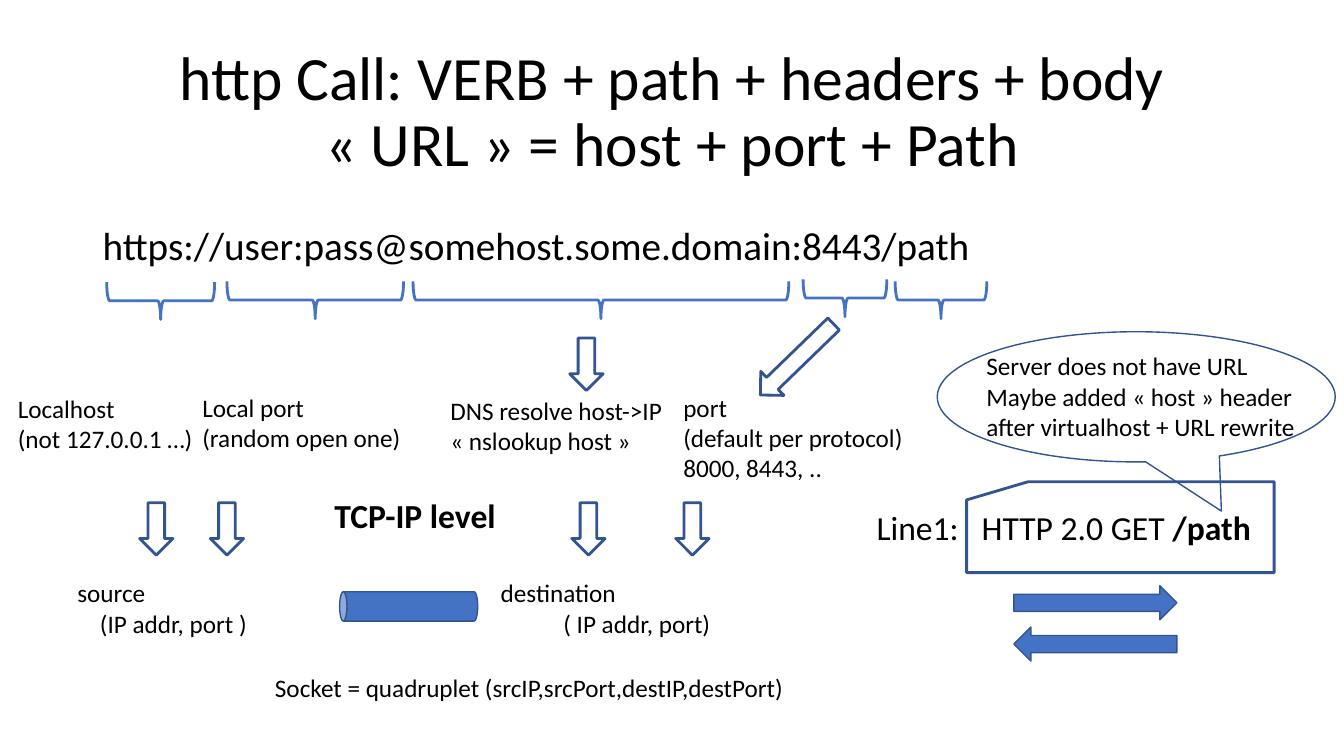
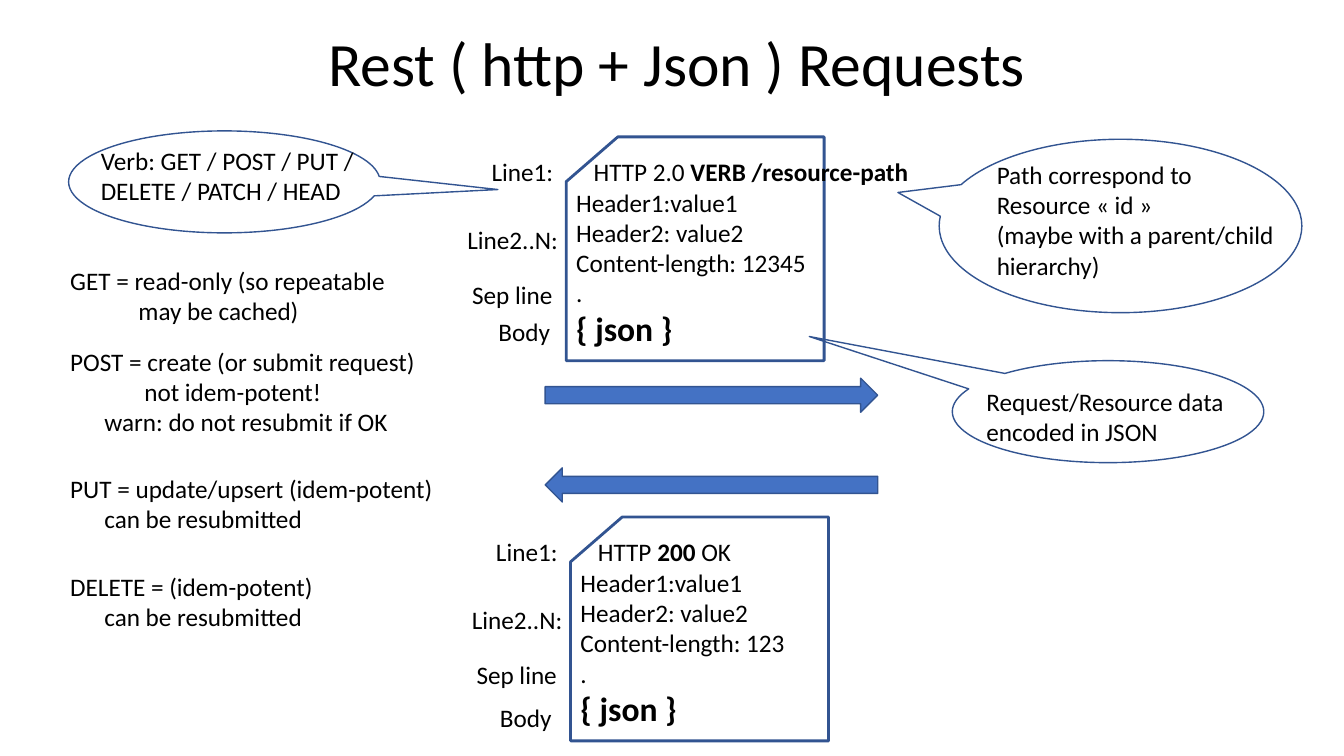
from dataclasses import dataclass

import pptx
import pptx.dml.color
import pptx.enum.shapes
import pptx.enum.text
import pptx.util

Cm, Pt = pptx.util.Cm, pptx.util.Pt
RGBColor = pptx.dml.color.RGBColor
SHAPE = pptx.enum.shapes.MSO_SHAPE
AUTO_SIZE = pptx.enum.text.MSO_AUTO_SIZE

BLACK = RGBColor(0x00, 0x00, 0x00)
BLUE = RGBColor(0x44, 0x72, 0xC4)
DARK_BLUE = RGBColor(0x32, 0x54, 0x91)
FONT = "Calibri"
BODY_SIZE, LARGE_SIZE, URL_SIZE, TITLE_SIZE = 18, 24, 28, 44


@dataclass
class Line:
    """One paragraph: (text, bold) runs, a size in points, an indent in cm."""
    runs: list
    size: int = BODY_SIZE
    indent: float = 0


def plain(text, size=BODY_SIZE, indent=0):
    return Line([(text, False)], size, indent)


def bold(text, size=BODY_SIZE):
    return Line([(text, True)], size)


def write_line(tf, line, first):
    p = tf.paragraphs[0] if first else tf.add_paragraph()
    if line.indent:
        pPr = p._p.get_or_add_pPr()
        pPr.set("marL", str(Cm(line.indent)))
        pPr.set("indent", "0")
    for text, is_bold in line.runs:
        r = p.add_run()
        r.text = text
        r.font.name = FONT
        r.font.size = Pt(line.size)
        r.font.bold = is_bold
        r.font.color.rgb = BLACK
    return p


def add_text(s, x, y, w, *lines, wrap=False):
    """Text box as high as its lines; a plain string is a body-size line."""
    lines = [plain(ln) if isinstance(ln, str) else ln for ln in lines]
    h = 0.25 + 0.043 * sum(ln.size for ln in lines)
    tf = s.shapes.add_textbox(Cm(x), Cm(y), Cm(w), Cm(h)).text_frame
    tf.word_wrap = wrap
    tf.auto_size = AUTO_SIZE.SHAPE_TO_FIT_TEXT
    for i, line in enumerate(lines):
        write_line(tf, line, i == 0)


def add_title(s, x, y, *texts):
    tf = s.shapes.add_textbox(Cm(x), Cm(y), Cm(29.21), Cm(3.68)).text_frame
    tf.word_wrap = True
    tf.vertical_anchor = pptx.enum.text.MSO_ANCHOR.MIDDLE
    for i, text in enumerate(texts):
        p = write_line(tf, plain(text, TITLE_SIZE), i == 0)
        p.alignment = pptx.enum.text.PP_ALIGN.CENTER
        p.line_spacing = 0.9


def add_figure(s, kind, x, y, w, h, fill=None, line=DARK_BLUE, weight=1, rotation=0):
    sp = s.shapes.add_shape(kind, Cm(x), Cm(y), Cm(w), Cm(h))
    sp.shadow.inherit = False
    sp.rotation = rotation
    if fill is None:
        sp.fill.background()
    else:
        sp.fill.solid()
        sp.fill.fore_color.rgb = fill
    sp.line.color.rgb = line
    sp.line.width = Pt(weight)
    return sp


def add_brace(s, x, y, w):
    """Brace under a span of text, its tip pointing down."""
    depth = 0.94
    add_figure(s, SHAPE.LEFT_BRACE, x + (w - depth) / 2, y + (depth - w) / 2,
               depth, w, line=BLUE, weight=2, rotation=270)


def add_down_arrow(s, x, y):
    add_figure(s, SHAPE.DOWN_ARROW, x, y, 0.84, 1.32, weight=2)


def add_exchange(s, x, w, request_y, response_y):
    """Arrow to the right for the request, to the left for the response."""
    for kind, y in ((SHAPE.RIGHT_ARROW, request_y), (SHAPE.LEFT_ARROW, response_y)):
        add_figure(s, kind, x, y, w, 0.86, fill=BLUE)


def add_callout(s, x, y, w, h, tip):
    sp = add_figure(s, SHAPE.OVAL_CALLOUT, x, y, w, h)
    sp.adjustments[0], sp.adjustments[1] = tip


def add_card(s, x, y, w, h):
    add_figure(s, SHAPE.FLOWCHART_CARD, x, y, w, h, weight=2)


def add_message(s, x, y, status, status_w, length, body_dx, body_dy):
    """HTTP message card with the names of its parts on the left."""
    add_card(s, x, y, 6.5, 5.64)
    parts = (("Line1:", -2.13, 0.36, 2.06), ("Line2..N:", -2.74, 2.07, 2.82),
             ("Sep line", -2.62, 3.47, 2.67), ("Body", body_dx, body_dy, 1.91))
    for name, dx, dy, w in parts:
        add_text(s, x + dx, y + dy, w, name)
    add_text(s, x + 0.44, y + 0.36, status_w, status)
    add_text(s, x, y + 1.14, 6.5, "Header1:value1", "Header2: value2",
             f"Content-length: {length}", ".", bold("{ json }", LARGE_SIZE), wrap=True)


def build_call_slide(s):
    add_title(s, 2.34, 1.02, "http Call: VERB + path + headers + body",
              "« URL » = host + port + Path")
    add_text(s, 2.34, 5.46, 22.63,
             plain("https://user:pass@somehost.some.domain:8443/path", URL_SIZE))
    for x, y, w in ((2.69, 7.11, 2.72), (5.72, 7.09, 4.45), (10.41, 7.09, 9.47),
                    (20.24, 7.04, 2.11), (22.56, 7.09, 2.31)):
        add_brace(s, x, y, w)

    add_down_arrow(s, 14.36, 8.52)
    add_figure(s, SHAPE.RIGHT_ARROW, 18.8, 8.64, 2.57, 0.84, weight=2, rotation=135.9)
    add_text(s, 0.2, 9.78, 4.95, "Localhost", "(not 127.0.0.1 …)")
    add_text(s, 4.85, 9.75, 5.59, "Local port", "(random open one)")
    add_text(s, 11.1, 9.83, 5.92, "DNS resolve host->IP", "« nslookup host »")
    add_text(s, 16.97, 9.75, 6.12, "port", "(default per protocol)", "8000, 8443, ..")

    for x in (3.52, 5.3, 14.41, 17.03):
        add_down_arrow(s, x, 12.67)
    add_text(s, 8.18, 12.34, 4.65, bold("TCP-IP level", LARGE_SIZE))
    add_text(s, 1.7, 14.43, 4.85, "source", plain("(IP addr, port )", indent=0.57))
    add_figure(s, SHAPE.CAN, 9.93, 13.54, 0.74, 3.48, fill=BLUE, rotation=270)
    add_text(s, 12.37, 14.43, 6.02, "destination", plain("( IP addr, port)", indent=1.58))
    add_text(s, 6.68, 16.81, 13.92, "Socket = quadruplet (srcIP,srcPort,destIP,destPort)")

    add_card(s, 24.36, 12.14, 7.75, 2.29)
    add_text(s, 21.84, 12.65, 3, plain("Line1:", LARGE_SIZE), wrap=True)
    add_text(s, 24.49, 12.65, 7.59,
             Line([("HTTP 2.0 GET", False), (" /path", True)], LARGE_SIZE))
    add_callout(s, 23.62, 8.36, 10.03, 3.28, (0.214, 0.878))
    add_text(s, 24.61, 8.71, 8.46, "Server does not have URL",
             "Maybe added « host » header", "after virtualhost + URL rewrite")
    add_exchange(s, 25.55, 4.11, 14.76, 15.8)


def build_rest_slide(s):
    add_title(s, 2.46, -0.15, "Rest ( http + Json ) Requests")
    add_message(s, 14.27, 3.45, Line([("HTTP 2.0 ", False), ("VERB /resource-path", True)]),
                8.64, 12345, -1.96, 4.39)
    add_exchange(s, 13.74, 8.38, 9.53, 11.79)
    add_message(s, 14.38, 13.03, Line([("HTTP ", False), ("200", True), (" OK", False)]),
                3.96, 123, -2.03, 4.55)

    add_callout(s, 1.73, 3.3, 7.85, 2.57, (0.878, 0.075))
    add_text(s, 2.29, 3.53, 6.96, "Verb: GET / POST / PUT / DELETE / PATCH / HEAD", wrap=True)
    add_callout(s, 23.67, 3.51, 9.14, 4.37, (-0.614, -0.193))
    add_text(s, 24.87, 3.89, 7.67, "Path correspond to", "Resource « id »",
             "(maybe with a parent/child", "hierarchy)")
    add_callout(s, 24, 9.09, 7.85, 2.57, (-0.959, -0.737))
    add_text(s, 24.61, 9.6, 6.96, "Request/Resource data encoded in JSON", wrap=True)

    resubmit = plain("can be resubmitted", indent=0.86)
    verbs = (
        (6.55, 8.53, "GET = read-only (so repeatable", plain("may be cached)", indent=1.72)),
        (8.59, 9.31, "POST = create (or submit request)",
         plain("not idem-potent!", indent=1.87),
         plain("warn: do not resubmit if OK", indent=0.86)),
        (11.79, 9.77, "PUT = update/upsert (idem-potent)", resubmit),
        (14.27, 6.71, "DELETE = (idem-potent)", resubmit),
    )
    for y, w, *lines in verbs:
        add_text(s, 1.52, y, w, *lines)


def main():
    prs = pptx.Presentation()
    prs.slide_width, prs.slide_height = Cm(33.87), Cm(19.05)
    for build in (build_call_slide, build_rest_slide):
        build(prs.slides.add_slide(prs.slide_layouts[6]))
    prs.save("out.pptx")


if __name__ == "__main__":
    main()
